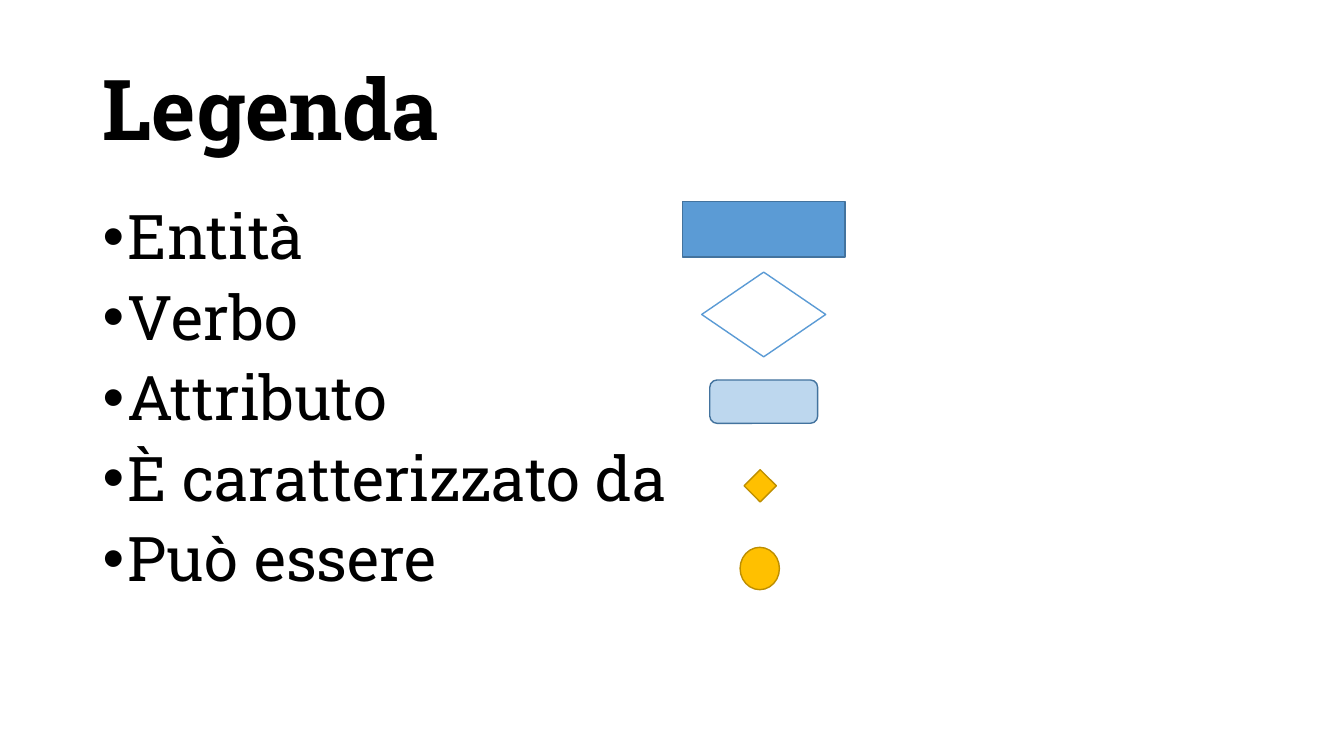
from dataclasses import dataclass

from lxml.etree import SubElement
from pptx import Presentation
from pptx.dml.color import RGBColor
from pptx.enum.shapes import MSO_SHAPE
from pptx.enum.text import MSO_ANCHOR
from pptx.oxml.ns import qn
from pptx.slide import Slide
from pptx.text.text import _Paragraph
from pptx.util import Inches, Pt

FONT = "Roboto Slab"
MARGIN = 0.92
TEXT_WIDTH = 11.5


@dataclass(frozen=True)
class Symbol:
    kind: MSO_SHAPE
    left: float
    top: float
    width: float
    height: float
    fill: str
    line: str


def color(value: str) -> RGBColor:
    return RGBColor.from_string(value)


def add_bullet(paragraph: _Paragraph) -> None:
    properties = paragraph._p.get_or_add_pPr()
    properties.set("marL", str(Inches(0.25)))
    properties.set("indent", str(-Inches(0.25)))
    SubElement(properties, qn("a:buFont"), typeface="Arial")
    SubElement(properties, qn("a:buChar"), char="•")


def add_text(slide: Slide, lines: list[str], *, top: float, height: float,
             size: float, bold: bool = False, bulleted: bool = False,
             space_before: float = 0,
             anchor: MSO_ANCHOR = MSO_ANCHOR.TOP) -> None:
    text_box = slide.shapes.add_textbox(
        Inches(MARGIN), Inches(top), Inches(TEXT_WIDTH), Inches(height))
    frame = text_box.text_frame
    frame.word_wrap = True
    frame.vertical_anchor = anchor
    frame.text = "\n".join(lines)
    for paragraph in frame.paragraphs:
        paragraph.line_spacing = 0.9
        paragraph.space_before = Pt(space_before)
        if bulleted:
            add_bullet(paragraph)
        for run in paragraph.runs:
            run.font.name = FONT
            run.font.size = Pt(size)
            run.font.bold = bold
            run.font.color.rgb = color("000000")


def add_symbol(slide: Slide, symbol: Symbol) -> None:
    shape = slide.shapes.add_shape(
        symbol.kind, Inches(symbol.left), Inches(symbol.top),
        Inches(symbol.width), Inches(symbol.height))
    shape.shadow.inherit = False
    shape.fill.solid()
    shape.fill.fore_color.rgb = color(symbol.fill)
    shape.line.color.rgb = color(symbol.line)
    shape.line.width = Pt(1)


LEGEND = {
    "Entità": Symbol(MSO_SHAPE.RECTANGLE, 6.77, 2, 1.61, 0.55, "5B9BD5", "43739E"),
    "Verbo": Symbol(MSO_SHAPE.DIAMOND, 6.96, 2.7, 1.23, 0.84, "FFFFFF", "5B9BD5"),
    "Attributo": Symbol(MSO_SHAPE.ROUNDED_RECTANGLE, 7.04, 3.77, 1.07, 0.43,
                        "BDD7EE", "43739E"),
    "È caratterizzato da": Symbol(MSO_SHAPE.DIAMOND, 7.38, 4.66, 0.32, 0.32,
                                  "FFC000", "BD8E00"),
    "Può essere": Symbol(MSO_SHAPE.OVAL, 7.34, 5.43, 0.39, 0.42, "FFC000", "BD8E00"),
}

presentation = Presentation()
presentation.slide_width = Inches(13.33)
presentation.slide_height = Inches(7.5)
slide = presentation.slides.add_slide(presentation.slide_layouts[6])

add_text(slide, ["Legenda"], top=0.4, height=1.45, size=60, bold=True,
         anchor=MSO_ANCHOR.MIDDLE)
add_text(slide, list(LEGEND), top=2, height=4.76, size=44, bulleted=True,
         space_before=10)
for symbol in LEGEND.values():
    add_symbol(slide, symbol)

presentation.save("out.pptx")
